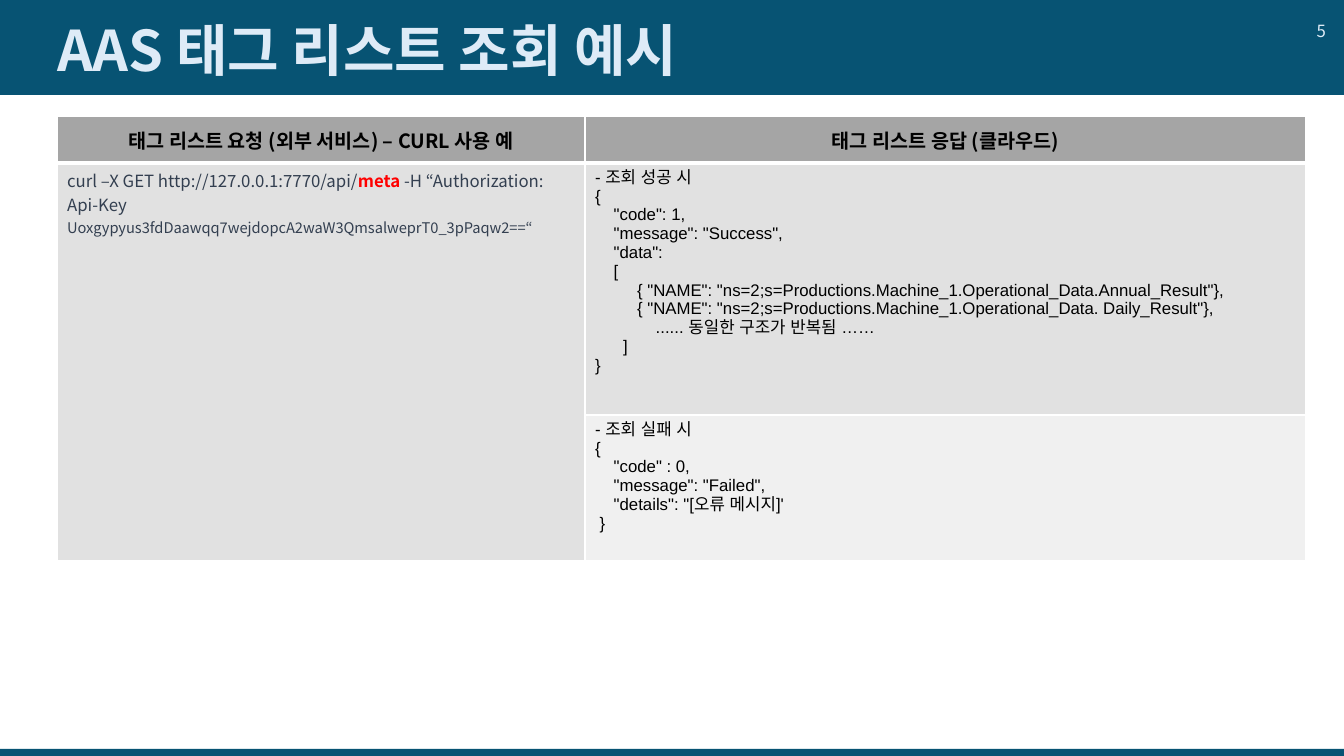
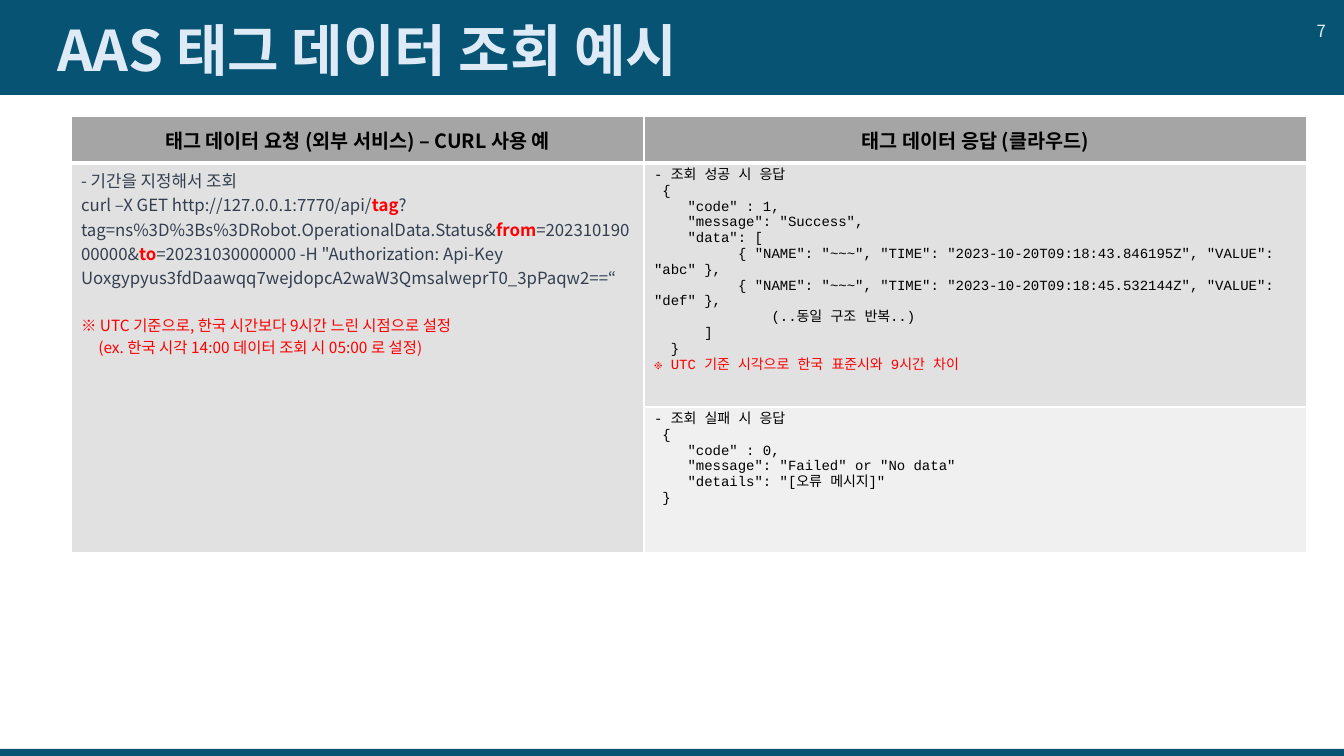
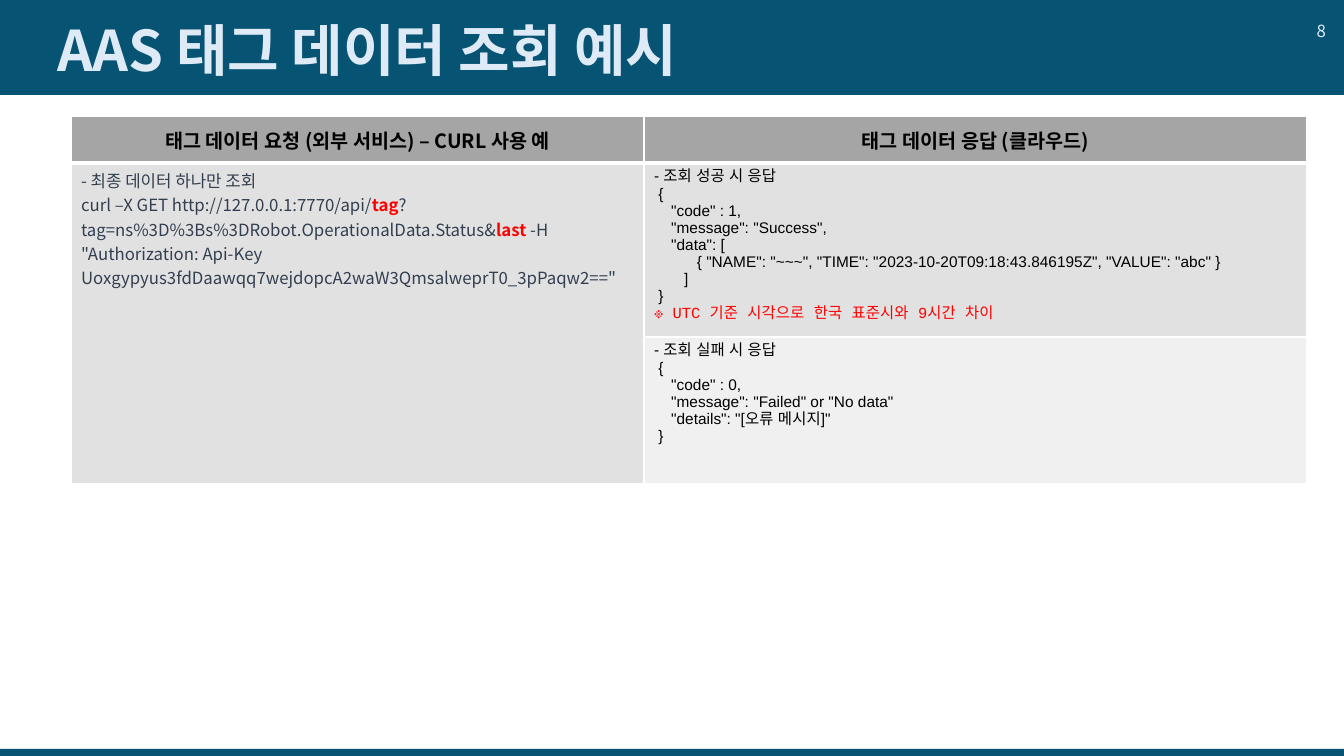
from dataclasses import dataclass

from pptx import Presentation
from pptx import util as u
from pptx.dml.color import RGBColor
from pptx.enum import shapes, text
from pptx.oxml import parse_xml
from pptx.oxml.ns import nsdecls, qn

# One px is 1/100.8 inch, so a page is 1344 x 756 px
SCALE = 914400 / 100.8
PAGE_W, PAGE_H = 1344, 756
TITLE_BAND_H, FOOT_BAND_H = 95, 7
TABLE_TOP, HEADER_H = 116, 47

NAVY = RGBColor(0x07, 0x53, 0x73)
ICE = RGBColor(0xDE, 0xEB, 0xF7)
SLATE = RGBColor(0x33, 0x3F, 0x50)
BLACK = RGBColor(0, 0, 0)
RED = RGBColor(0xFF, 0, 0)
HEADER_GREY = RGBColor(0xA5, 0xA5, 0xA5)
MID_GREY = RGBColor(0xE1, 0xE1, 0xE1)
PALE_GREY = RGBColor(0xF0, 0xF0, 0xF0)

SANS, ARIAL, MONO = "Noto Sans CJK KR", "Arial", "Courier New"
# Width of a space in each font, in ems
SPACE_EM = {SANS: 0.224, ARIAL: 0.278, MONO: 0.6}


@dataclass
class Line:
    """One paragraph; words between asterisks are bold and red."""
    words: str
    indent: int = 0          # first-line indent, in spaces
    font: str = SANS
    size: float = 12
    color: RGBColor = SLATE
    before: int = 0
    small_tail: str = ""


def px(length):
    return u.Emu(round(length * SCALE))


def box_of(left, top, width, height):
    return [px(length) for length in (left, top, width, height)]


def set_font(para, name, size, color, bold=False):
    font = para.font
    font.name, font.size, font.bold = name, u.Pt(size), bold
    font.color.rgb = color
    latin = para._p.find(".//" + qn("a:latin"))
    latin.addnext(parse_xml(f'<a:ea {nsdecls("a")} typeface="{name}"/>'))


def code(lines, font, size):
    return [Line(words, indent, font, size, BLACK) for indent, words in lines]


# Shared bands, title and page number
def add_master_bands(deck, page):
    tree = deck.slide_master.shapes.element
    for top, height in ((0, TITLE_BAND_H), (PAGE_H - FOOT_BAND_H, FOOT_BAND_H)):
        band = page.shapes.add_shape(shapes.MSO_SHAPE.RECTANGLE,
                                     *box_of(0, top, PAGE_W, height))
        band.shadow.inherit = False
        band.fill.solid()
        band.fill.fore_color.rgb = NAVY
        band.line.fill.background()
        tree.insert(2, band.element)


def add_heading(page, title, number):
    heading = page.shapes.title
    heading.left, heading.top, heading.width, heading.height = box_of(47, 11, 1026, 84)
    number_box = page.shapes.add_textbox(*box_of(1290, 11, 46, 40))
    for box, words, size, align, bold in (
            (heading, title, 40, text.PP_ALIGN.LEFT, True),
            (number_box, number, 12, text.PP_ALIGN.RIGHT, False)):
        frame = box.text_frame
        frame.text = words
        frame.word_wrap = True
        frame.auto_size = text.MSO_AUTO_SIZE.NONE
        frame.vertical_anchor = text.MSO_ANCHOR.MIDDLE
        para = frame.paragraphs[0]
        para.alignment = align
        set_font(para, SANS, size, ICE, bold)
    heading.text_frame.paragraphs[0].line_spacing = 0.9


# Table cells
def style_cell(cell, fill, top=1, bottom=1):
    props = cell._tc.get_or_add_tcPr()
    for side, width in (("L", 1), ("R", 1), ("T", top), ("B", bottom)):
        props.append(parse_xml(
            f'<a:ln{side} {nsdecls("a")} w="{u.Pt(width)}"><a:solidFill>'
            f'<a:srgbClr val="FFFFFF"/></a:solidFill></a:ln{side}>'))
    cell.fill.solid()
    cell.fill.fore_color.rgb = fill


def fill_header(cell, words):
    cell.text = words
    cell.vertical_anchor = text.MSO_ANCHOR.MIDDLE
    para = cell.text_frame.paragraphs[0]
    para.alignment = text.PP_ALIGN.CENTER
    set_font(para, SANS, 14, BLACK, True)


def fill_lines(cell, lines):
    frame = cell.text_frame
    for index, line in enumerate(lines):
        para = frame.add_paragraph() if index else frame.paragraphs[0]
        if line.before:
            para.space_before = u.Pt(line.before)
        set_font(para, line.font, line.size, line.color)
        if line.indent:
            first = u.Pt(line.indent * SPACE_EM[line.font] * line.size)
            para._p.get_or_add_pPr().set("marL", "0")
            para._p.get_or_add_pPr().set("indent", str(int(first)))
        for part, words in enumerate(line.words.split("*")):
            span = para.add_run()
            span.text = words
            if part % 2:
                span.font.bold = True
                span.font.color.rgb = RED
        if line.small_tail:
            span = para.add_run()
            span.text = line.small_tail
            span.font.size = u.Pt(10.5)


def add_api_table(page, left, widths, heights, subject, request, success, failure):
    rows = [HEADER_H, *heights]
    frame = page.shapes.add_table(
        3, 2, *box_of(left, TABLE_TOP, sum(widths), sum(rows)))
    table = frame.table
    table.horz_banding = False
    for column, width in zip(table.columns, widths):
        column.width = px(width)
    for row, height in zip(table.rows, rows):
        row.height = px(height)
    for column in range(2):
        style_cell(table.cell(0, column), HEADER_GREY, bottom=3)
        style_cell(table.cell(1, column), MID_GREY, top=3)
        style_cell(table.cell(2, column), PALE_GREY)
    table.cell(1, 0).merge(table.cell(2, 0))
    fill_header(table.cell(0, 0), f"{subject} 요청 (외부 서비스) – CURL 사용 예")
    fill_header(table.cell(0, 1), f"{subject} 응답 (클라우드)")
    fill_lines(table.cell(1, 0), request)
    fill_lines(table.cell(1, 1), success)
    fill_lines(table.cell(2, 1), failure)


# Wording
API = "curl –X GET http://127.0.0.1:7770/api/"
KEY = "Uoxgypyus3fdDaawqq7wejdopcA2waW3QmsalweprT0_3pPaqw2=="
TAG_QUERY = API + "*tag*?tag=ns%3D%3Bs%3DRobot.OperationalData.Status&"
UTC_NOTE = "※ UTC 기준 시각으로 한국 표준시와 9시간 차이"
NODE = '{ "NAME": "ns=2;s=Productions.Machine_1.Operational_Data.'
SAMPLE = '{ "NAME": "~~~", "TIME": "2023-10-20T:09:18:'.replace("T:", "T")

LIST_SUCCESS = [
    (0, "- 조회 성공 시"), (0, "{"), (4, '"code": 1,'), (4, '"message": "Success",'),
    (4, '"data":'), (4, "["), (9, NODE + 'Annual_Result"},'),
    (9, NODE + ' Daily_Result"},'), (13, "...... 동일한 구조가 반복됨 ……"),
    (6, "]"), (0, "}")]
LIST_FAILURE = [
    (0, "- 조회 실패 시"), (0, "{"), (4, '"code" : 0,'), (4, '"message": "Failed",'),
    (4, "\"details\": \"[오류 메시지]'"), (1, "}")]
DATA_OPENING = [
    (0, "- 조회 성공 시 응답"), (1, "{"), (4, '"code" : 1,'),
    (4, '"message": "Success",'), (4, '"data": [')]
RANGE_SUCCESS = DATA_OPENING + [
    (10, SAMPLE + '43.846195Z", "VALUE": "abc" },'),
    (10, SAMPLE + '45.532144Z", "VALUE": "def" },'),
    (14, "(..동일 구조 반복..)"), (6, "]"), (2, "}")]
LAST_SUCCESS = DATA_OPENING + [
    (10, SAMPLE + '43.846195Z", "VALUE": "abc" }'), (7, "]"), (1, "}")]
DATA_FAILURE = [
    (0, "- 조회 실패 시 응답"), (1, "{"), (4, '"code" : 0,'),
    (4, '"message": "Failed" or "No data"'), (4, '"details": "[오류 메시지]"'), (1, "}")]

LIST_REQUEST = [Line(API + "*meta* -H “Authorization: Api-Key ", small_tail=KEY + "“")]
RANGE_REQUEST = [
    Line("- 기간을 지정해서 조회"),
    Line(TAG_QUERY + "*from*=20231019000000&*to*=20231030000000"
         f' -H "Authorization: Api-Key {KEY}“'),
    Line("※ UTC 기준으로, 한국 시간보다 9시간 느린 시점으로 설정",
         size=11, color=RED, before=17),
    Line("(ex. 한국 시각 14:00 데이터 조회 시 05:00 로 설정)", 5, size=11, color=RED)]
LAST_REQUEST = [
    Line("- 최종 데이터 하나만 조회"),
    Line(TAG_QUERY + f'*last* -H "Authorization: Api-Key {KEY}"')]

# Title, number, table left, column widths, row heights, subject, cell lines
DATA_TITLE, DATA_LEFT, DATA_WIDTHS = "AAS 태그 데이터 조회 예시", 71, (573, 663)
PAGES = [
    ("AAS 태그 리스트 조회 예시", "5", 57, (528, 721), (252, 146), "태그 리스트",
     LIST_REQUEST, code(LIST_SUCCESS, ARIAL, 12), code(LIST_FAILURE, ARIAL, 12)),
    (DATA_TITLE, "7", DATA_LEFT, DATA_WIDTHS, (244, 146), "태그 데이터", RANGE_REQUEST,
     code(RANGE_SUCCESS, MONO, 10) + [Line(UTC_NOTE, 0, MONO, 10, RED)],
     code(DATA_FAILURE, MONO, 10)),
    (DATA_TITLE, "8", DATA_LEFT, DATA_WIDTHS, (174, 147), "태그 데이터", LAST_REQUEST,
     code(LAST_SUCCESS, ARIAL, 11) + [Line(UTC_NOTE, 0, MONO, 11, RED)],
     code(DATA_FAILURE, ARIAL, 11)),
]


def main():
    deck = Presentation()
    deck.slide_width, deck.slide_height = px(PAGE_W), px(PAGE_H)
    title_only = deck.slide_layouts[5]
    for index, (title, number, *table_parts) in enumerate(PAGES):
        page = deck.slides.add_slide(title_only)
        if index == 0:
            add_master_bands(deck, page)
        add_heading(page, title, number)
        add_api_table(page, *table_parts)
    deck.save("out.pptx")


if __name__ == "__main__":
    main()
